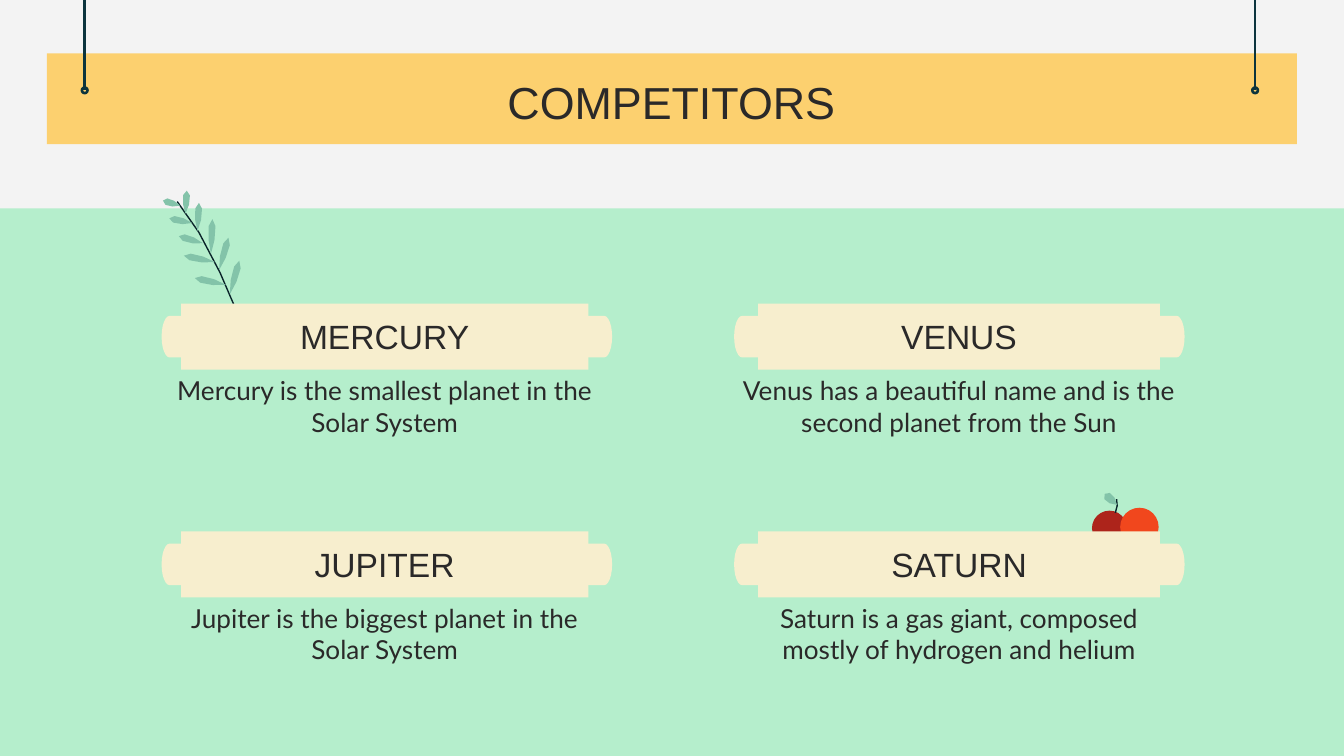
import math

from pptx import Presentation
from pptx.dml import color
from pptx.enum import shapes as kinds, text
from pptx.oxml import xmlchemy
from pptx.util import Pt

INK, CREAM, GREEN = "2A2929", "F7EECE", "83C3A9"
TWIG, ROD = "092329", "0C343D"
KIND = kinds.MSO_SHAPE


def rgb(value):
    """Turn a hex string into a colour."""
    return color.RGBColor.from_string(value)


def add_block(shapes, kind, left, top, width, height, fill):
    """Add a preset shape with a plain fill, no outline and no shadow."""
    shape = shapes.add_shape(kind, Pt(left), Pt(top), Pt(width), Pt(height))
    shape.shadow.inherit = False
    shape.fill.solid()
    shape.fill.fore_color.rgb = rgb(fill)
    shape.line.fill.background()
    return shape


def add_outline(shapes, left, top, points, closed):
    """Draw a freeform through points relative to a corner."""
    corners = [(Pt(left + x), Pt(top + y)) for x, y in points]
    builder = shapes.build_freeform(*corners[0])
    builder.add_line_segments(corners[1:], close=closed)
    shape = builder.convert_to_shape()
    shape.shadow.inherit = False
    return shape


def add_leaf(shapes, left, top, tip, base, width):
    """Draw a leaf that is pointed at its base and blunt at its tip."""
    dx, dy = tip[0] - base[0], tip[1] - base[1]
    length = math.hypot(dx, dy)
    profile = [(0, 0), (0.4, 0.4), (0.8, 0.45), (1, 0), (0.8, -0.45), (0.4, -0.4)]
    points = [(base[0] + t * dx - side * width * dy / length,
               base[1] + t * dy + side * width * dx / length) for t, side in profile]
    leaf = add_outline(shapes, left, top, points, True)
    leaf.fill.solid()
    leaf.fill.fore_color.rgb = rgb(GREEN)
    leaf.line.fill.background()


def add_twig(shapes, left, top, points):
    """Draw a thin stem through the given points."""
    twig = add_outline(shapes, left, top, points, False)
    twig.fill.background()
    twig.line.color.rgb = rgb(TWIG)
    twig.line.width = Pt(0.75)


def write(shape, words, font, size, anchor):
    """Put one centred paragraph into a shape."""
    frame = shape.text_frame
    frame.word_wrap = True
    frame.auto_size = text.MSO_AUTO_SIZE.NONE
    frame.vertical_anchor = anchor
    frame.margin_left = frame.margin_right = Pt(7.2)
    frame.margin_top = frame.margin_bottom = Pt(7.2)
    frame.text = words
    paragraph = frame.paragraphs[0]
    paragraph.alignment = text.PP_ALIGN.CENTER
    paragraph.font.name = font
    paragraph.font.size = Pt(size)
    paragraph.font.color.rgb = rgb(INK)


def add_sign(slide, left, top, width, height):
    """Build the hanging title sign with its two rods."""
    sign = slide.shapes.add_group_shape().shapes
    add_block(sign, KIND.RECTANGLE, left, top, width, height, "FCD06F")
    ring_y, radius = top + 19.8, 1.5
    for x in (left + 20.2, left + width - 22.4):
        rod = sign.add_connector(kinds.MSO_CONNECTOR.STRAIGHT,
                                 Pt(x), 0, Pt(x), Pt(ring_y))
        rod.line.color.rgb = rgb(ROD)
        rod.line.width = Pt(1.3)
        properties = rod.element.spPr
        properties.append(xmlchemy.OxmlElement("a:effectLst"))
        ring = add_block(sign, KIND.OVAL, x - radius, ring_y - radius,
                         2 * radius, 2 * radius, ROD)
        ring.fill.background()
        ring.line.color.rgb = rgb(ROD)
        ring.line.width = Pt(1.4)
    title = slide.shapes.title
    title.left, title.top = Pt(left + 82.8), Pt(top + 4.3)
    title.width, title.height = Pt(503.3), Pt(45.4)
    write(title, "COMPETITORS", "Arial", 24, text.MSO_ANCHOR.TOP)
    title.element.getparent().append(title.element)


def add_branch(slide, left, top):
    """Draw the branch with five leaves on each side."""
    branch = slide.shapes.add_group_shape().shapes
    add_twig(branch, left, top, [(8.6, 6), (20.2, 22.5), (31.5, 44), (39.6, 62.8), (45, 77)])
    leaves = [((41.8, 37.7), (36.7, 55.7)), ((36, 25.4), (31, 42.7)),
              ((27.4, 15.4), (26.6, 34.1)), ((20.2, 6.7), (19.4, 21.8)),
              ((13.7, 0.2), (13, 12.5)), ((0.9, 5.5), (10.1, 8.2)),
              ((4.3, 15), (16.6, 17.5)), ((9.4, 24.5), (22.3, 28.3)),
              ((12.1, 35), (28.8, 38.4)), ((18, 47), (34.6, 50.6))]
    for tip, base in leaves:
        add_leaf(branch, left, top, tip, base, 4)


def add_apples(slide, left, top):
    """Draw two apples with a stem and a leaf."""
    apples = slide.shapes.add_group_shape().shapes
    add_block(apples, KIND.OVAL, left, top + 9.6, 18.7, 18.7, "AD241B")
    add_block(apples, KIND.OVAL, left + 15.1, top + 8, 20.6, 20.6, "F1471D")
    add_twig(apples, left, top, [(13.2, 3.4), (13.5, 7), (12.5, 10.8)])
    add_leaf(apples, left, top, (6.8, 0.6), (13.4, 6.5), 5)


def add_card(slide, left, center, top, bar_width, caption_width, name, caption):
    """Build a named ribbon with its description below."""
    ends = slide.shapes.add_group_shape().shapes
    for x, turn in ((left, 0), (left + 215.4, 180)):
        end = add_block(ends, KIND.FLOWCHART_STORED_DATA, x, top + 6.5, 25.9, 22.3, CREAM)
        end.rotation = turn
    bar = add_block(slide.shapes, KIND.RECTANGLE, center - bar_width / 2, top,
                    bar_width, 35.3, CREAM)
    write(bar, name, "Arial", 18, text.MSO_ANCHOR.BOTTOM)
    box = slide.shapes.add_textbox(Pt(center - caption_width / 2), Pt(top + 30.8),
                                   Pt(caption_width), Pt(37.4))
    write(box, caption, "Lato", 14, text.MSO_ANCHOR.TOP)


def main():
    """Build and save the slide."""
    presentation = Presentation()
    presentation.slide_width, presentation.slide_height = Pt(720), Pt(405)
    slide = presentation.slides.add_slide(presentation.slide_layouts[5])
    slide.background.fill.solid()
    slide.background.fill.fore_color.rgb = rgb("F3F3F3")
    add_block(slide.shapes, KIND.RECTANGLE, 0, 111.6, 720, 293.4, "B5EECC")
    add_branch(slide, 86.4, 102)
    add_apples(slide, 585, 264)
    cards = [
        ("MERCURY", "Mercury is the smallest planet in the Solar System", 251.3),
        ("VENUS", "Venus has a beautiful name and is the second planet from the Sun", 251.3),
        ("JUPITER", "Jupiter is the biggest planet in the Solar System", 251.3),
        ("SATURN", "Saturn is a gas giant, composed mostly of hydrogen and helium", 248.4),
    ]
    columns = [(86.6, 206.1, 218.2), (393.3, 513.8, 215.3)]
    for index, (name, caption, caption_width) in enumerate(cards):
        row, column = divmod(index, 2)
        left, center, bar_width = columns[column]
        add_card(slide, left, center, 162.7 + row * 122, bar_width, caption_width,
                 name, caption)
    add_sign(slide, 25.2, 28.6, 669.6, 48.6)
    presentation.save("out.pptx")


if __name__ == "__main__":
    main()
